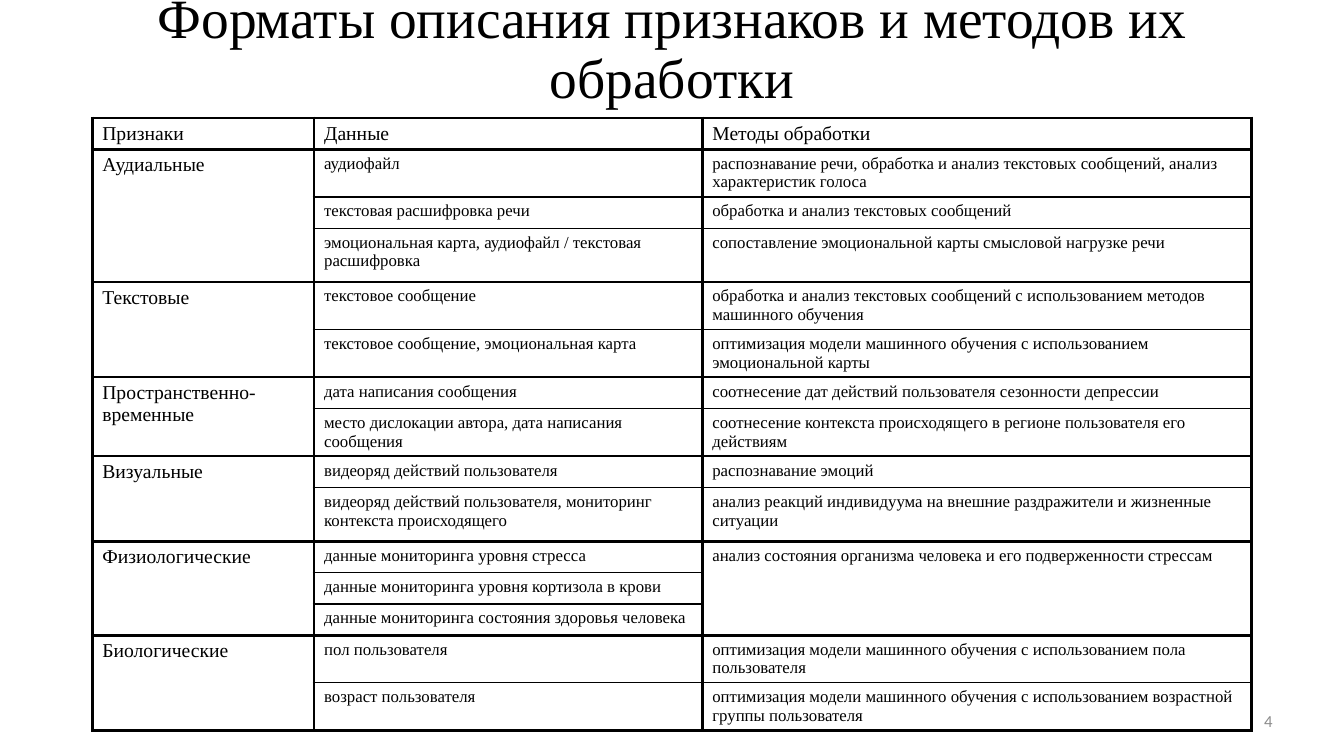
from lxml import etree
from pptx import Presentation, util as u
from pptx.dml.color import RGBColor
from pptx.enum import text as t
from pptx.oxml import ns

SERIF = "Times New Roman"
WIDE, HIGH = 13.33, 7.5
COLS = (2.2, 3.85, 5.45)
ONE, TWO, TALL = 0.31, 0.47, 0.53
THICK, THIN = 2.25, 1

HEAD = ("Признаки", "Данные", "Методы обработки")
# Each group: feature name, then (row height, data, method); no method extends the one above.
GROUPS = [
    ("Аудиальные", [
        (TWO, "аудиофайл", "распознавание речи, обработка и анализ текстовых сообщений, "
                           "анализ характеристик голоса"),
        (ONE, "текстовая расшифровка речи", "обработка и анализ текстовых сообщений"),
        (TALL, "эмоциональная карта, аудиофайл / текстовая расшифровка",
         "сопоставление эмоциональной карты смысловой нагрузке речи")]),
    ("Текстовые", [
        (TWO, "текстовое сообщение", "обработка и анализ текстовых сообщений "
                                     "с использованием методов машинного обучения"),
        (TWO, "текстовое сообщение, эмоциональная карта",
         "оптимизация модели машинного обучения с использованием эмоциональной карты")]),
    ("Пространственно-временные", [
        (ONE, "дата написания сообщения",
         "соотнесение дат действий пользователя сезонности депрессии"),
        (TWO, "место дислокации автора, дата написания сообщения",
         "соотнесение контекста происходящего в регионе пользователя его действиям")]),
    ("Визуальные", [
        (ONE, "видеоряд действий пользователя", "распознавание эмоций"),
        (TALL, "видеоряд действий пользователя, мониторинг контекста происходящего",
         "анализ реакций индивидуума на внешние раздражители и жизненные ситуации")]),
    ("Физиологические", [
        (ONE, "данные мониторинга уровня стресса",
         "анализ состояния организма человека и его подверженности стрессам"),
        (ONE, "данные мониторинга уровня кортизола в крови", None),
        (ONE, "данные мониторинга состояния здоровья человека", None)]),
    ("Биологические", [
        (TWO, "пол пользователя",
         "оптимизация модели машинного обучения с использованием пола пользователя"),
        (TWO, "возраст пользователя", "оптимизация модели машинного обучения "
                                      "с использованием возрастной группы пользователя")]),
]


def color(code):
    return RGBColor.from_string(code)


def write(frame, words, size, face=SERIF, ink="000000", **form):
    par = frame.paragraphs[0]
    for key, val in form.items():
        setattr(par, key, val)
    run = par.add_run()
    run.text = words
    run.font.color.rgb = color(ink)
    for key, val in {"size": u.Pt(size), "name": face}.items():
        setattr(run.font, key, val)


def label(slide, box, words, size, **form):
    frame = slide.shapes.add_textbox(*map(u.Inches, box)).text_frame
    look = {"word_wrap": True, "vertical_anchor": t.MSO_ANCHOR.MIDDLE}
    for key, val in look.items():
        setattr(frame, key, val)
    write(frame, words, size, **form)


def border(cell, top=THICK, low=THICK):
    """Rule the four sides, the upright ones always thick, with no gap below the text."""
    props = cell._tc.get_or_add_tcPr()
    for side, width in zip("LRTB", (THICK, THICK, top, low)):
        line = etree.SubElement(props, ns.qn("a:ln" + side), w=str(u.Pt(width)))
        fill = etree.SubElement(line, ns.qn("a:solidFill"))
        etree.SubElement(fill, ns.qn("a:srgbClr"), val="000000")
    cell.fill.background()
    cell.margin_bottom = 0


def matrix(slide, box):
    highs = [ONE] + [row[0] for _, rows in GROUPS for row in rows]
    frame = slide.shapes.add_table(len(highs), len(COLS), *map(u.Inches, box))
    grid = frame.table
    grid.first_row = grid.horz_banding = False
    for col, share in zip(grid.columns, COLS):
        col.width = u.Inches(box[2] * share / sum(COLS))
    for row, share in zip(grid.rows, highs):
        row.height = u.Inches(box[3] * share / sum(highs))

    for col, words in enumerate(HEAD):
        write(grid.cell(0, col).text_frame, words, 14)
        border(grid.cell(0, col))
    top = 1
    for name, rows in GROUPS:
        last = top + len(rows) - 1
        grid.cell(top, 0).merge(grid.cell(last, 0))
        write(grid.cell(top, 0).text_frame, name, 14)
        if rows[-1][2] is None:
            grid.cell(top, 2).merge(grid.cell(last, 2))
        for num, (_, data, method) in enumerate(rows, top):
            for col, words in ((1, data), (2, method)):
                if words:
                    write(grid.cell(num, col).text_frame, words, 12)
            for col in range(len(COLS)):
                cell = grid.cell(num, col)
                if cell.is_merge_origin or cell.is_spanned:
                    border(cell)
                else:
                    border(cell, THICK if num == top else THIN,
                           THICK if num == last else THIN)
        top = last + 1


def main():
    deck = Presentation()
    deck.slide_width, deck.slide_height = u.Inches(WIDE), u.Inches(HIGH)
    slide = deck.slides.add_slide(deck.slide_layouts[6])
    wide = sum(COLS)
    left = (WIDE - wide) / 2
    label(slide, (left, -0.09, wide, 1.19),
          "Форматы описания признаков и методов их обработки", 39.6,
          alignment=t.PP_ALIGN.CENTER, line_spacing=0.9)
    label(slide, (9.72, 6.95, 3, 0.4), "4", 12, face="Calibri", ink="8C8C8C",
          alignment=t.PP_ALIGN.RIGHT)
    matrix(slide, (left, 1.17, wide, 6.08))
    deck.save("out.pptx")


if __name__ == "__main__":
    main()
